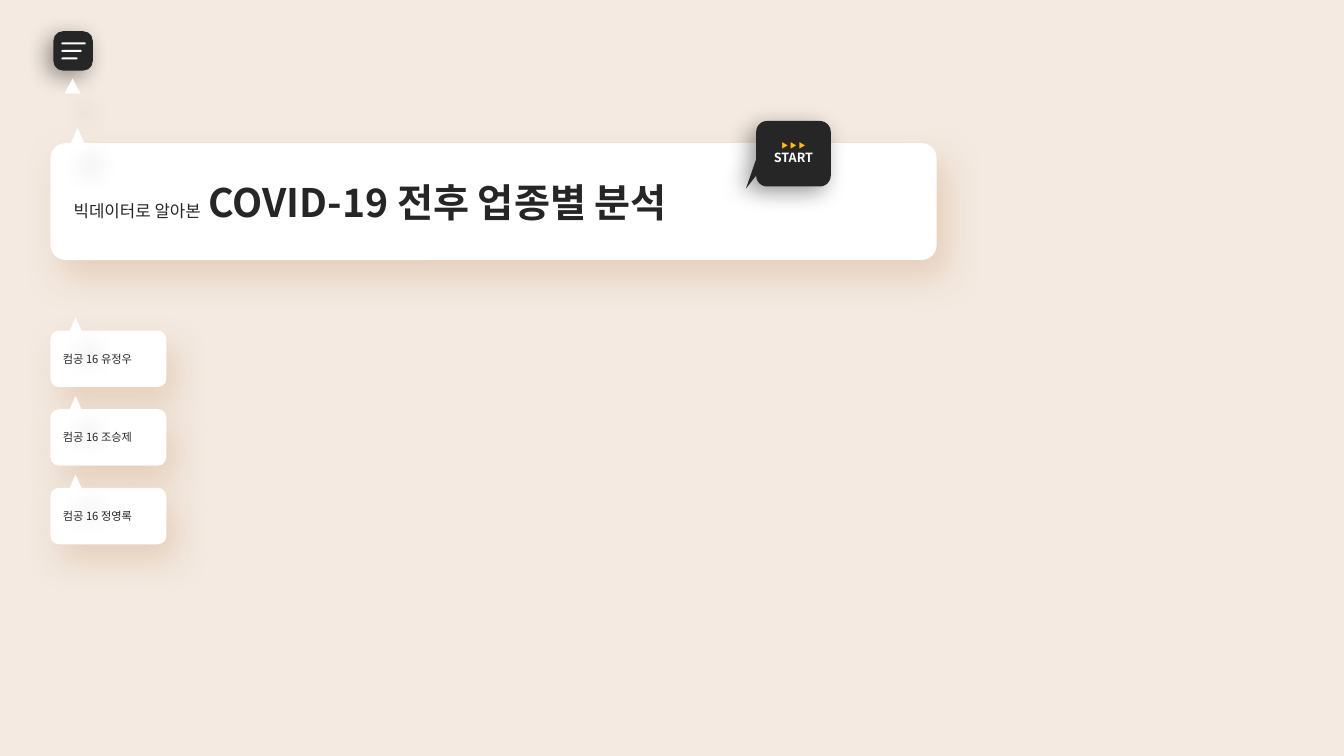
from lxml import etree
from pptx import Presentation
from pptx.dml.color import RGBColor
from pptx.enum.shapes import MSO_SHAPE as Kind
from pptx.enum.text import MSO_ANCHOR as Anchor, MSO_AUTO_SIZE as Fit, PP_ALIGN as Align
from pptx.oxml.ns import qn
from pptx.util import Inches, Pt

FONT = "Noto Sans CJK KR"
DARK, WHITE, GOLD, SAND = "262626", "FFFFFF", "FFC000", "F4EAE1"

LEAD, TOPIC = "빅데이터로 알아본  ", "COVID-19 전후 업종별 분석"
MEMBERS = ["컴공 16 유정우", "컴공 16 조승제", "컴공 16 정영록"]
START = [("▶ ▶ ▶", 5, GOLD), ("START", 9, WHITE)]
BARS = [0.24, 0.2, 0.16]

# colour, opacity %, blur pt, distance pt, angle
DEEP = ("000000", 40, 16, 6, 135)
FAINT = ("000000", 11, 16, 19, 60)
WARM = ("E1C6AD", 75, 25, 13, 60)

LEFT = 0.5
TITLE_BOX = (LEFT, 1.42, 8.79, 1.16)
CARD_TOP, CARD_W, CARD_H, CARD_STEP = 3.28, 1.15, 0.56, 0.78


def rgb(code):
    return RGBColor.from_string(code)


def cast(shape, color, alpha, blur, dist, angle):
    """Give the shape an outer shadow."""
    shape.shadow.inherit = False
    effects = shape._element.spPr.find(qn("a:effectLst"))
    outer = etree.SubElement(effects, qn("a:outerShdw"), blurRad=str(Pt(blur)),
                             dist=str(Pt(dist)), dir=str(angle * 60000),
                             algn="ctr", rotWithShape="0")
    tint = etree.SubElement(outer, qn("a:srgbClr"), val=color)
    etree.SubElement(tint, qn("a:alpha"), val=str(alpha * 1000))


def draw(kind, box, fill=WHITE, adj=(), shadow=None):
    shape = slide.shapes.add_shape(kind, *map(Inches, box))
    shape.fill.solid()
    shape.fill.fore_color.rgb = rgb(fill)
    shape.line.fill.background()
    for i, value in enumerate(adj):
        shape.adjustments[i] = value
    if shadow:
        cast(shape, *shadow)
    else:
        shape.shadow.inherit = False
    return shape


def write(para, text, size, color=DARK, bold=False, align=Align.LEFT):
    para.alignment = align
    run = para.add_run()
    run.text = text
    font = run.font
    font.name, font.size, font.bold = FONT, Pt(size), bold
    font.color.rgb = rgb(color)
    latin = font._element.find(qn("a:latin"))
    latin.addnext(latin.makeelement(qn("a:ea"), {"typeface": FONT}))


deck = Presentation()
deck.slide_width, deck.slide_height = Inches(13.33), Inches(7.5)
slide = deck.slides.add_slide(deck.slide_layouts[5])
slide.background.fill.solid()
slide.background.fill.fore_color.rgb = rgb(SAND)

# Menu button
draw(Kind.ROUNDED_RECTANGLE, (0.53, 0.31, 0.39, 0.39), DARK, [0.242], DEEP)
for i, width in enumerate(BARS):
    draw(Kind.ROUNDED_RECTANGLE, (0.61, 0.42 + i * 0.075, width, 0.02), adj=[0.5])
draw(Kind.ISOSCELES_TRIANGLE, (0.64, 0.78, 0.16, 0.15), shadow=FAINT)

# Title card
panel = draw(Kind.ROUNDED_RECTANGLE, TITLE_BOX, adj=[0.129], shadow=WARM)
title = slide.shapes.title
title.left, title.top, title.width, title.height = map(Inches, TITLE_BOX)
panel._element.addnext(title._element)
frame = title.text_frame
frame.auto_size, frame.word_wrap = Fit.NONE, True
frame.vertical_anchor = Anchor.MIDDLE
frame.margin_left = Inches(0.23)
write(frame.paragraphs[0], LEAD, 12)
write(frame.paragraphs[0], TOPIC, 28, bold=True)
draw(Kind.ISOSCELES_TRIANGLE, (0.67, 1.27, 0.2, 0.22), shadow=FAINT)

# Member cards
for i, member in enumerate(MEMBERS):
    top = CARD_TOP + i * CARD_STEP
    card = draw(Kind.ROUNDED_RECTANGLE, (LEFT, top, CARD_W, CARD_H),
                adj=[0.149], shadow=WARM)
    card.text_frame.vertical_anchor = Anchor.MIDDLE
    write(card.text_frame.paragraphs[0], member, 8)
    draw(Kind.ISOSCELES_TRIANGLE, (LEFT + 0.16, top - 0.13, 0.18, 0.2), shadow=FAINT)

# Start callout
call = draw(Kind.ROUNDED_RECTANGULAR_CALLOUT, (7.5, 1.2, 0.74, 0.65), DARK,
            [-0.637, 0.532, 0.167], DEEP)
frame = call.text_frame
frame.word_wrap, frame.vertical_anchor = False, Anchor.MIDDLE
for i, (text, size, color) in enumerate(START):
    para = frame.add_paragraph() if i else frame.paragraphs[0]
    write(para, text, size, color, bold=True, align=Align.CENTER)

deck.save("out.pptx")
